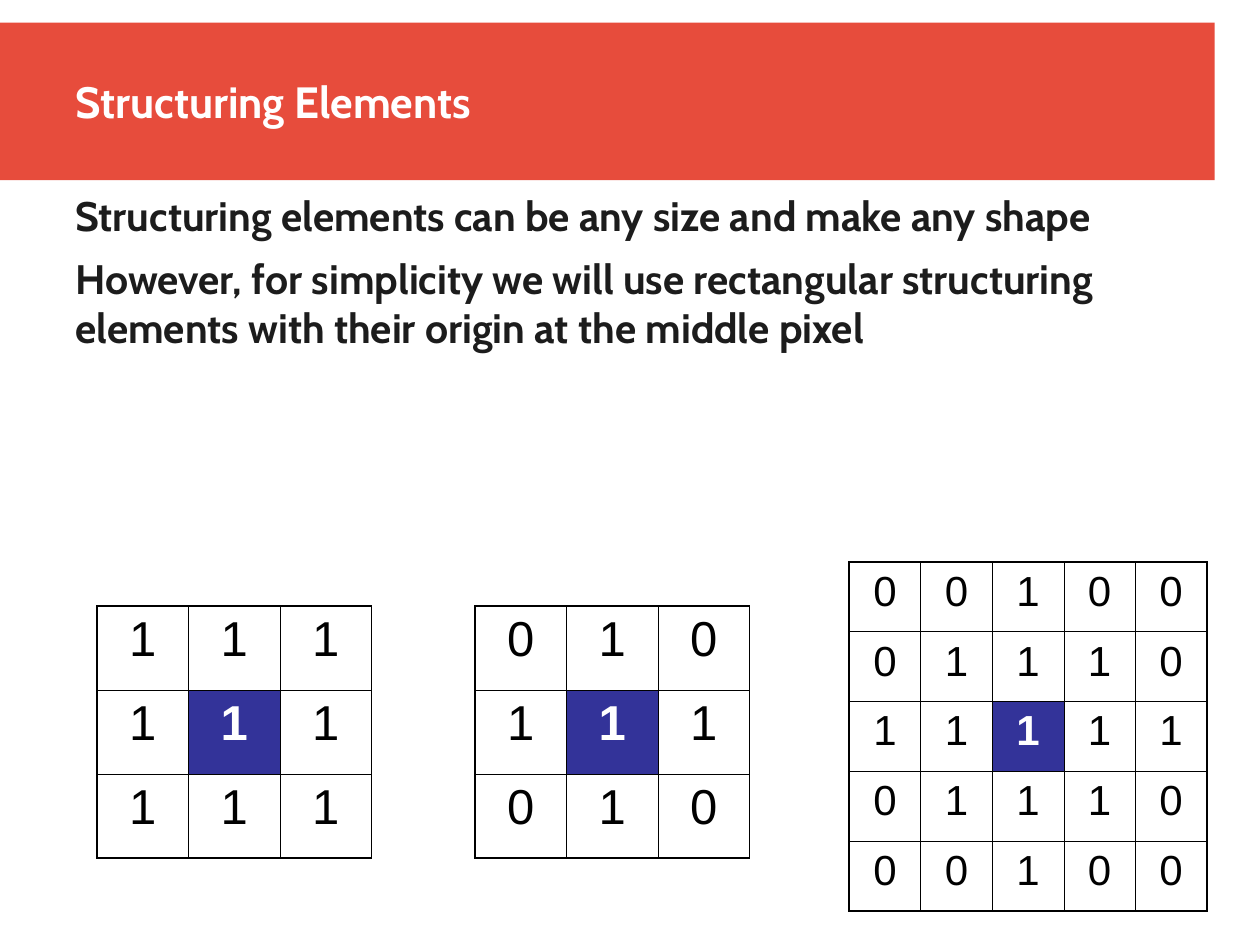
from lxml import etree
from pptx import Presentation
from pptx.dml.color import RGBColor
from pptx.enum.shapes import MSO_SHAPE
from pptx.enum.text import MSO_ANCHOR, MSO_AUTO_SIZE, PP_ALIGN
from pptx.oxml.ns import qn
from pptx.util import Inches, Pt

LEFT, CENTER = PP_ALIGN.LEFT, PP_ALIGN.CENTER
COLORS = {
    "banner": "E74C3C",
    "body": "1C1C1C",
    "origin": "333399",
    "white": "FFFFFF",
    "black": "000000",
}
THICK, THIN = Pt(1.08), Pt(0.45)


def write(para, text, size, color, font="Cabin", bold=True, align=LEFT, before=0):
    para.alignment = align
    para.space_before = Pt(before)
    span = para.add_run()
    span.text = text
    span.font.name = font
    span.font.size = Pt(size)
    span.font.bold = bold
    span.font.color.rgb = RGBColor.from_string(COLORS[color])


def set_borders(cell, widths):
    """Draw black cell borders, with widths in the order left, right, top, bottom."""
    properties = cell._tc.get_or_add_tcPr()
    for index, (side, width) in enumerate(zip("LRTB", widths)):
        line = etree.Element(qn(f"a:ln{side}"), w=str(width))
        fill = etree.SubElement(line, qn("a:solidFill"))
        etree.SubElement(fill, qn("a:srgbClr"), val=COLORS["black"])
        properties.insert(index, line)


deck = Presentation()
deck.slide_width, deck.slide_height = Inches(10), Inches(7.5)
page = deck.slides.add_slide(deck.slide_layouts[5])

# Banner, placed behind the title
banner = page.shapes.add_shape(
    MSO_SHAPE.RECTANGLE, Inches(0), Inches(0.18), Inches(9.64), Inches(1.25))
banner.shadow.inherit = False
banner.fill.solid()
banner.fill.fore_color.rgb = RGBColor.from_string(COLORS["banner"])
banner.line.fill.background()
page.shapes._spTree.insert(2, banner._element)

title = page.shapes.title
title.left, title.top = Inches(0.6), Inches(0.5)
title.width, title.height = Inches(4.33), Inches(0.51)
frame = title.text_frame
frame.margin_left = frame.margin_right = frame.margin_top = frame.margin_bottom = 0
frame.vertical_anchor = MSO_ANCHOR.BOTTOM
frame.auto_size = MSO_AUTO_SIZE.NONE
write(frame.paragraphs[0], "Structuring Elements", 25, "white")

body = page.shapes.add_textbox(Inches(0.5), Inches(1.46), Inches(9), Inches(6.04))
body.text_frame.word_wrap = True
write(body.text_frame.paragraphs[0],
      "Structuring elements can be any size and make any shape", 23.5, "body")
write(body.text_frame.add_paragraph(),
      "However, for simplicity we will use rectangular structuring "
      "elements with their origin at the middle pixel", 23.5, "body", before=8)

# Structuring elements: left, top, width, height, text size, rows of values
ELEMENTS = [
    (0.77, 4.81, 2.18, 2, 28, ["111", "111", "111"]),
    (6.74, 4.46, 2.84, 2.77, 24, ["00100", "01110", "11111", "01110", "00100"]),
    (3.77, 4.81, 2.18, 2, 28, ["010", "111", "010"]),
]
for left, top, width, height, size, rows in ELEMENTS:
    count = len(rows)
    last = count - 1
    table = page.shapes.add_table(
        count, count, Inches(left), Inches(top), Inches(width), Inches(height)).table
    table.first_row = table.horz_banding = False
    for row, values in enumerate(rows):
        table.rows[row].height = Inches(height / count)
        table.columns[row].width = Inches(width / count)
        for column, value in enumerate(values):
            cell = table.cell(row, column)
            is_origin = row == column == count // 2
            if is_origin:
                cell.fill.solid()
                cell.fill.fore_color.rgb = RGBColor.from_string(COLORS["origin"])
            else:
                cell.fill.background()
            write(cell.text_frame.paragraphs[0], value, size,
                  "white" if is_origin else "black",
                  font="Arial", bold=is_origin, align=CENTER)
            outer = (column == 0, column == last, row == 0, row == last)
            set_borders(cell, [THICK if edge else THIN for edge in outer])

deck.save("out.pptx")
